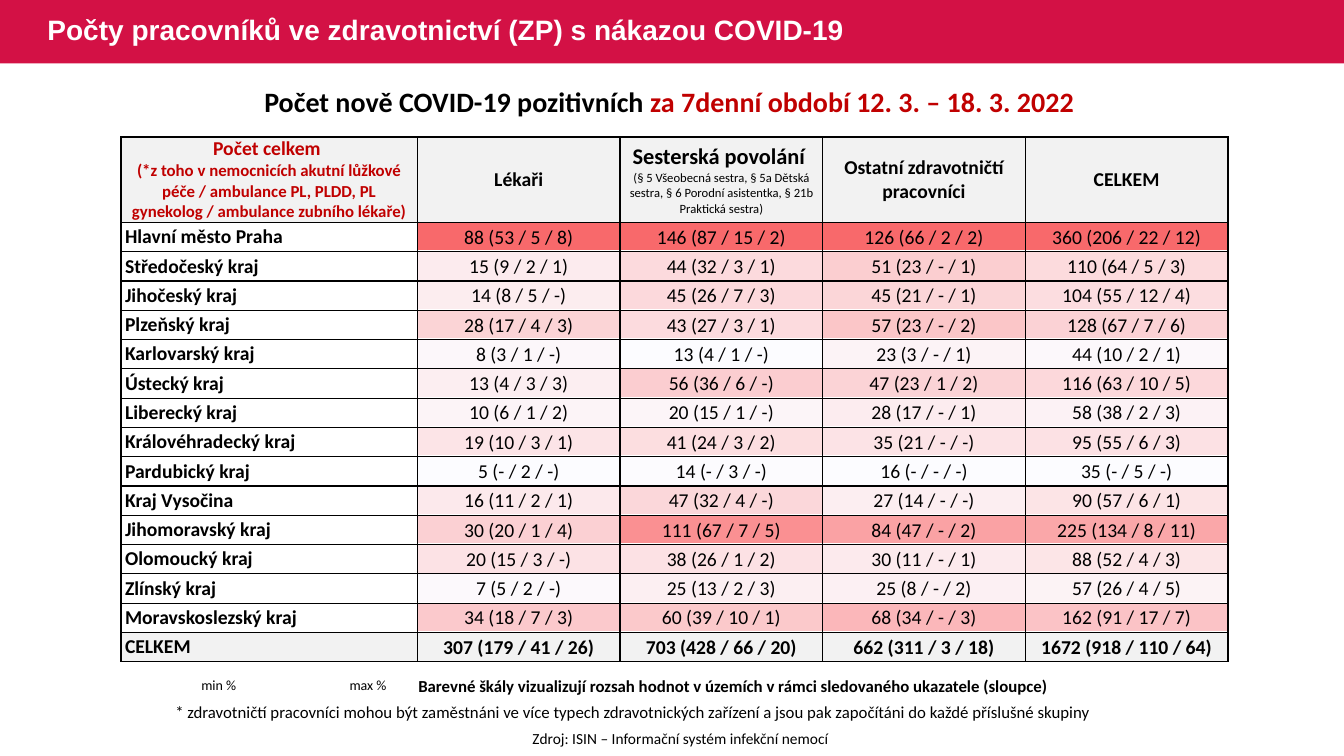
"""Build a slide on health workers newly infected with COVID-19, by region."""
import dataclasses
import math

import pptx
import pptx.dml.color
import pptx.enum.shapes
import pptx.enum.text
import pptx.oxml
import pptx.oxml.ns
import pptx.util
from pptx.util import Inches

ALIGN = pptx.enum.text.PP_ALIGN
MIDDLE = pptx.enum.text.MSO_ANCHOR.MIDDLE


@dataclasses.dataclass(frozen=True)
class Theme:
    heading_font: str = "Arial"
    body_font: str = "Calibri"
    band: str = "D31145"
    white: str = "FFFFFF"
    black: str = "000000"
    accent: str = "C00000"
    header_fill: str = "F2F2F2"
    scale_low: tuple = (252, 252, 255)
    scale_high: tuple = (248, 105, 107)
    title: int = 20
    subheading: int = 16
    table: int = 14
    note: int = 12
    source: int = 11
    legend: int = 10
    small: int = 9


THEME = Theme()
NAME_WIDTH, VALUE_WIDTH = 2.94, 2.01
HEADER_HEIGHT, ROW_HEIGHT = 0.84, 4.36 / 15
TABLE_LEFT, TABLE_TOP = 1.2, 1.36

HEADERS = [
    [("Počet celkem ", THEME.table, True, THEME.accent),
     ("(*z toho v nemocnicích akutní lůžkové péče / ambulance PL, PLDD, PL gynekolog "
      "/ ambulance zubního lékaře)", THEME.note, True, THEME.accent)],
    [("Lékaři", THEME.table, True, THEME.black)],
    [("Sesterská povolání ", THEME.subheading, True, THEME.black),
     ("(§ 5 Všeobecná sestra, § 5a Dětská sestra, § 6 Porodní asistentka, "
      "§ 21b Praktická sestra)", THEME.small, False, THEME.black)],
    [("Ostatní zdravotničtí pracovníci", THEME.table, True, THEME.black)],
    [("CELKEM", THEME.table, True, THEME.black)],
]
REGIONS = [
    ("Hlavní město Praha", "88 (53 / 5 / 8)", "146 (87 / 15 / 2)", "126 (66 / 2 / 2)", "360 (206 / 22 / 12)"),
    ("Středočeský kraj", "15 (9 / 2 / 1)", "44 (32 / 3 / 1)", "51 (23 / - / 1)", "110 (64 / 5 / 3)"),
    ("Jihočeský kraj", "14 (8 / 5 / -)", "45 (26 / 7 / 3)", "45 (21 / - / 1)", "104 (55 / 12 / 4)"),
    ("Plzeňský kraj", "28 (17 / 4 / 3)", "43 (27 / 3 / 1)", "57 (23 / - / 2)", "128 (67 / 7 / 6)"),
    ("Karlovarský kraj", "8 (3 / 1 / -)", "13 (4 / 1 / -)", "23 (3 / - / 1)", "44 (10 / 2 / 1)"),
    ("Ústecký kraj", "13 (4 / 3 / 3)", "56 (36 / 6 / -)", "47 (23 / 1 / 2)", "116 (63 / 10 / 5)"),
    ("Liberecký kraj", "10 (6 / 1 / 2)", "20 (15 / 1 / -)", "28 (17 / - / 1)", "58 (38 / 2 / 3)"),
    ("Královéhradecký kraj", "19 (10 / 3 / 1)", "41 (24 / 3 / 2)", "35 (21 / - / -)", "95 (55 / 6 / 3)"),
    ("Pardubický kraj", "5 (- / 2 / -)", "14 (- / 3 / -)", "16 (- / - / -)", "35 (- / 5 / -)"),
    ("Kraj Vysočina", "16 (11 / 2 / 1)", "47 (32 / 4 / -)", "27 (14 / - / -)", "90 (57 / 6 / 1)"),
    ("Jihomoravský kraj", "30 (20 / 1 / 4)", "111 (67 / 7 / 5)", "84 (47 / - / 2)", "225 (134 / 8 / 11)"),
    ("Olomoucký kraj", "20 (15 / 3 / -)", "38 (26 / 1 / 2)", "30 (11 / - / 1)", "88 (52 / 4 / 3)"),
    ("Zlínský kraj", "7 (5 / 2 / -)", "25 (13 / 2 / 3)", "25 (8 / - / 2)", "57 (26 / 4 / 5)"),
    ("Moravskoslezský kraj", "34 (18 / 7 / 3)", "60 (39 / 10 / 1)", "68 (34 / - / 3)", "162 (91 / 17 / 7)"),
]
TOTALS = ("CELKEM", "307 (179 / 41 / 26)", "703 (428 / 66 / 20)", "662 (311 / 3 / 18)", "1672 (918 / 110 / 64)")


def rgb(value):
    return pptx.dml.color.RGBColor.from_string(value)


def drawing_xml(tag, attributes, content=""):
    namespace = pptx.oxml.ns.nsdecls("a")
    return pptx.oxml.parse_xml(f"<a:{tag} {namespace} {attributes}>{content}</a:{tag}>")


def add_run(paragraph, text, size, bold=False, color=THEME.black, font=THEME.body_font):
    run = paragraph.add_run()
    run.text = text
    run.font.size = pptx.util.Pt(size)
    run.font.bold = bold
    run.font.name = font
    run.font.color.rgb = rgb(color)


def add_text(slide, left, top, width, height, runs, align=ALIGN.LEFT):
    box = slide.shapes.add_textbox(Inches(left), Inches(top), Inches(width), Inches(height))
    frame = box.text_frame
    frame.word_wrap = True
    frame.auto_size = pptx.enum.text.MSO_AUTO_SIZE.SHAPE_TO_FIT_TEXT
    paragraph = frame.paragraphs[0]
    paragraph.alignment = align
    for run in runs:
        add_run(paragraph, *run)
    return frame


def add_title(slide, text):
    title = slide.shapes.title
    title.left, title.top, title.width, title.height = map(Inches, (0.37, 0, 8.6, 0.63))
    title.text_frame.vertical_anchor = MIDDLE
    paragraph = title.text_frame.paragraphs[0]
    paragraph.alignment = ALIGN.LEFT
    paragraph.line_spacing = 0.9
    add_run(paragraph, text, THEME.title, True, THEME.white, THEME.heading_font)
    band = slide.shapes.add_shape(
        pptx.enum.shapes.MSO_SHAPE.RECTANGLE, 0, 0, Inches(13.33), Inches(0.63))
    band.shadow.inherit = False
    band.fill.solid()
    band.fill.fore_color.rgb = rgb(THEME.band)
    band.line.fill.background()
    title.element.addprevious(band.element)


def add_legend(slide):
    for text, left in [("min %", 1.87), ("max %", 3.35)]:
        frame = add_text(slide, left, 6.71, 0.6, 0.17, [(text, THEME.legend)], ALIGN.CENTER)
        frame.margin_left = frame.margin_right = frame.margin_top = frame.margin_bottom = 0


def add_table(slide, left, top, widths, heights):
    table = slide.shapes.add_table(
        len(heights), len(widths), Inches(left), Inches(top),
        Inches(sum(widths)), Inches(sum(heights))).table
    table.first_row = table.horz_banding = False
    for column, width in zip(table.columns, widths):
        column.width = Inches(width)
    for row, height in zip(table.rows, heights):
        row.height = Inches(height)
    return table


def format_cell(cell, fill, margin=0, top=0):
    cell.margin_left = cell.margin_right = Inches(margin)
    cell.margin_top, cell.margin_bottom = Inches(top), 0
    cell.vertical_anchor = MIDDLE
    if fill:
        cell.fill.solid()
        cell.fill.fore_color.rgb = rgb(fill)
    else:
        cell.fill.background()


def add_borders(cell):
    line_fill = f'<a:solidFill><a:srgbClr val="{THEME.black}"/></a:solidFill>'
    for index, side in enumerate("LRTB"):
        border = drawing_xml(f"ln{side}", f'w="{pptx.util.Pt(1)}"', line_fill)
        cell._tc.get_or_add_tcPr().insert(index, border)


def write_cell(cell, lines, fill=None, align=ALIGN.CENTER, margin=0.04, top=0):
    format_cell(cell, fill, margin, top)
    add_borders(cell)
    for index, line in enumerate(lines):
        frame = cell.text_frame
        paragraph = frame.add_paragraph() if index else frame.paragraphs[0]
        paragraph.alignment = align
        add_run(paragraph, *line)


def workers(text):
    return int(text.split()[0])


def scale_color(text, column):
    counts = [workers(region[column]) for region in REGIONS]
    share = (workers(text) - min(counts)) / (max(counts) - min(counts))
    return "".join(f"{math.ceil(low + (high - low) * share):02X}"
                   for low, high in zip(THEME.scale_low, THEME.scale_high))


def add_scale_table(slide):
    rows = [*REGIONS, TOTALS]
    table = add_table(slide, TABLE_LEFT + NAME_WIDTH, TABLE_TOP + HEADER_HEIGHT,
                      [VALUE_WIDTH] * 4, [ROW_HEIGHT] * len(rows))
    for index, (_, *values) in enumerate(rows):
        for column, value in enumerate(values):
            cell = table.cell(index, column)
            format_cell(cell, None if index == len(REGIONS) else scale_color(value, column + 1))
            cell.text_frame.paragraphs[0]._p.append(drawing_xml("endParaRPr", f'sz="{THEME.small * 100}"'))


def add_region_table(slide):
    rows = [*REGIONS, TOTALS]
    table = add_table(slide, TABLE_LEFT, TABLE_TOP, [NAME_WIDTH] + [VALUE_WIDTH] * 4,
                      [HEADER_HEIGHT] + [ROW_HEIGHT] * len(rows))
    for column, lines in enumerate(HEADERS):
        write_cell(table.cell(0, column), lines, THEME.header_fill)
    for index, (name, *values) in enumerate(rows, 1):
        is_total = index == len(rows)
        fill = THEME.header_fill if is_total else None
        write_cell(table.cell(index, 0), [(name, THEME.table, True)], fill, ALIGN.LEFT)
        for column, value in enumerate(values, 1):
            write_cell(table.cell(index, column), [(value, THEME.table, is_total)], fill, margin=0.01, top=0.01)


def main():
    presentation = pptx.Presentation()
    presentation.slide_width, presentation.slide_height = Inches(13.33), Inches(7.5)
    slide = presentation.slides.add_slide(presentation.slide_layouts.get_by_name("Title Only"))
    add_title(slide, "Počty pracovníků ve zdravotnictví (ZP) s nákazou COVID-19")
    add_scale_table(slide)
    add_region_table(slide)
    add_text(slide, 0.67, 0.79, 12, 0.44, [
        ("Počet nově COVID-19 pozitivních ", THEME.title, True),
        ("za 7denní období 12. 3. – 18. 3. 2022 ", THEME.title, True, THEME.accent)], ALIGN.CENTER)
    add_legend(slide)
    add_text(slide, 4.05, 6.65, 7.72, 0.3, [
        ("Barevné škály vizualizují rozsah hodnot v územích v rámci sledovaného ukazatele (sloupce)",
         THEME.note, True)])
    add_text(slide, 1.64, 6.91, 10.26, 0.3, [
        ("* zdravotničtí pracovníci mohou být zaměstnáni ve více typech zdravotnických zařízení "
         "a jsou pak započítáni do každé příslušné skupiny", THEME.note)])
    add_text(slide, 3.27, 7.18, 6.96, 0.29, [
        ("Zdroj: ISIN – Informační systém infekční nemocí", THEME.source)], ALIGN.CENTER)
    presentation.save("out.pptx")


if __name__ == "__main__":
    main()
